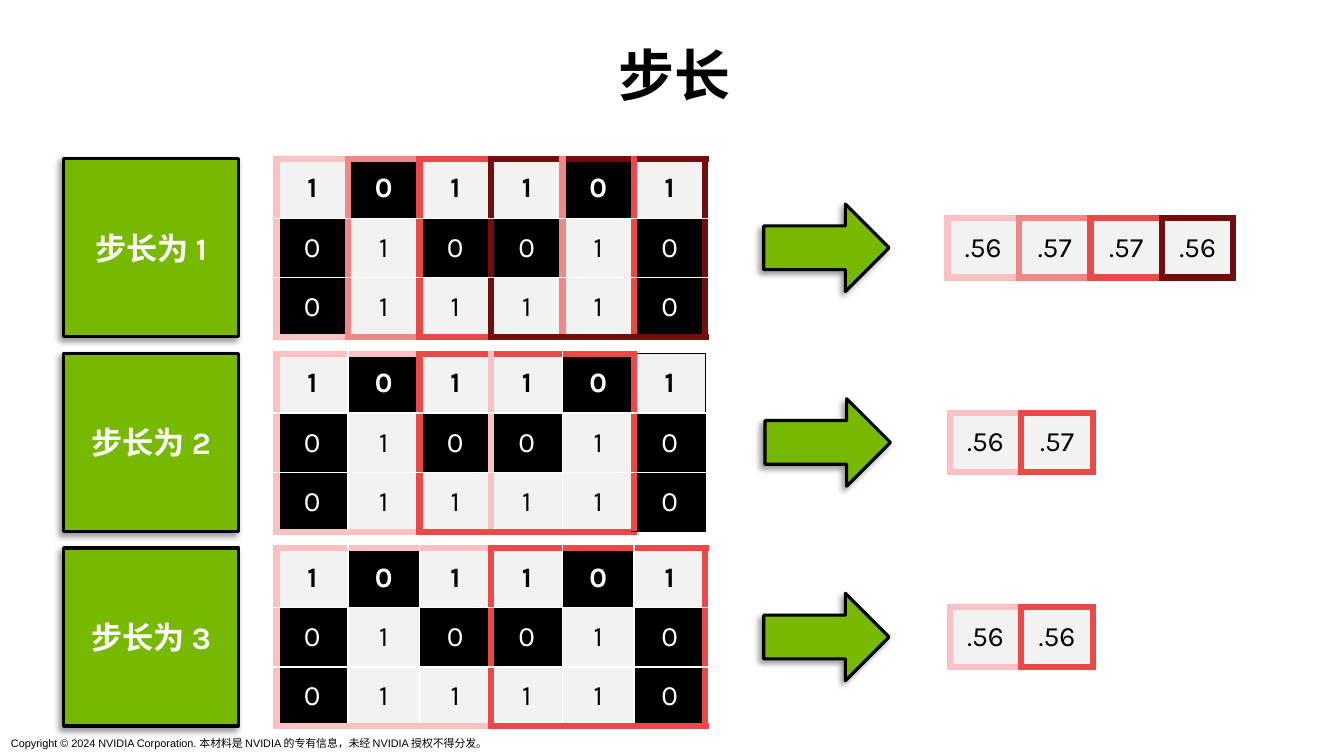
from lxml import etree
from pptx import Presentation
from pptx.dml.color import RGBColor
from pptx.enum.shapes import MSO_SHAPE
from pptx.enum.text import MSO_ANCHOR, PP_ALIGN
from pptx.oxml.ns import qn
from pptx.util import Pt

SQUARE, ARROW = MSO_SHAPE.RECTANGLE, MSO_SHAPE.RIGHT_ARROW
LEFT, CENTER = PP_ALIGN.LEFT, PP_ALIGN.CENTER
TOP, MIDDLE, BOTTOM = MSO_ANCHOR.TOP, MSO_ANCHOR.MIDDLE, MSO_ANCHOR.BOTTOM

COLORS = {
    "black": "000000",
    "white": "FFFFFF",
    "light": "F2F2F2",
    "green": "76B900",
}
# Border code: colour and width in points
BORDERS = {
    "a": ("F9C1C1", 4.5),
    "b": ("F18686", 4.5),
    "c": ("EB4848", 4.5),
    "d": ("760D0D", 4.5),
    "w": (COLORS["white"], 1),
    "k": (COLORS["black"], 1),
}
FONT = "Karla"
CELL_WIDTH, CELL_HEIGHT = 45.95, 38.2
FIRST_TOP, ROW_PITCH = 102.2, 125.1
INPUT_ROWS = ["101101", "010010", "011110"]

# Label, input verticals and edges, results, result verticals and edges,
# left of arrow, left of results
STRIDES = [
    ("步长为 1", "abcdbcd", "abcddd", [".56", ".57", ".57", ".56"],
     "abcdd", "abcd", 491, 609.1),
    ("步长为 2", "awcawck", "aaccck", [".56", ".57"], "acc", "ac", 491.8, 610.6),
    ("步长为 3", "awwcwwc", "aaaccc", [".56", ".56"], "acc", "ac", 491, 610.6),
]


def rgb(name):
    return RGBColor.from_string(COLORS[name])


def format_text(frame, size, color, bold=False, font=FONT, align=CENTER):
    para = frame.paragraphs[0]
    para.alignment = align
    for span in para.runs:
        span.font.name = font
        span.font.size = Pt(size)
        span.font.bold = bold
        span.font.color.rgb = rgb(color)


def add_text(page, text, left, top, width, height, anchor, **style):
    box = page.shapes.add_textbox(Pt(left), Pt(top), Pt(width), Pt(height))
    frame = box.text_frame
    frame.word_wrap = True
    frame.vertical_anchor = anchor
    frame.text = text
    format_text(frame, **style)
    return frame


def add_shadow(shape):
    """Give the shape a soft shadow towards the lower left."""
    shape.shadow.inherit = False
    effects = shape._element.spPr.find(qn("a:effectLst"))
    shadow = etree.SubElement(effects, qn("a:outerShdw"), blurRad=str(Pt(4)),
                              dist=str(Pt(3)), dir="8100000", algn="tr", rotWithShape="0")
    color = etree.SubElement(shadow, qn("a:srgbClr"), val=COLORS["black"])
    etree.SubElement(color, qn("a:alpha"), val="40000")


def add_green_shape(page, kind, left, top, width, height, line_width):
    shape = page.shapes.add_shape(kind, Pt(left), Pt(top), Pt(width), Pt(height))
    shape.fill.solid()
    shape.fill.fore_color.rgb = rgb("green")
    shape.line.color.rgb = rgb("black")
    shape.line.width = Pt(line_width)
    add_shadow(shape)
    return shape


def set_borders(cell, left, right, top, bottom):
    properties = cell._tc.get_or_add_tcPr()
    for side, code in zip("LRTB", (left, right, top, bottom)):
        color, width = BORDERS[code]
        line = etree.SubElement(properties, qn(f"a:ln{side}"), w=str(Pt(width)))
        fill = etree.SubElement(line, qn("a:solidFill"))
        etree.SubElement(fill, qn("a:srgbClr"), val=color)


def add_grid(page, rows, left, top, verticals, edges, bold_header=False):
    """Add a table; verticals and edges hold one border code per line or column."""
    row_count, column_count = len(rows), len(rows[0])
    table = page.shapes.add_table(
        row_count, column_count, Pt(left), Pt(top),
        Pt(CELL_WIDTH * column_count), Pt(CELL_HEIGHT * row_count)).table
    table.first_row = table.horz_banding = False
    for column in table.columns:
        column.width = Pt(CELL_WIDTH)
    for i, values in enumerate(rows):
        table.rows[i].height = Pt(CELL_HEIGHT)
        for j, value in enumerate(values):
            cell = table.cell(i, j)
            set_borders(cell, verticals[j], verticals[j + 1],
                        edges[j] if i == 0 else "w",
                        edges[j] if i == row_count - 1 else "w")
            dark = value == "0"
            cell.fill.solid()
            cell.fill.fore_color.rgb = rgb("black" if dark else "light")
            cell.vertical_anchor = MIDDLE
            cell.text_frame.text = value
            format_text(cell.text_frame, 18, "white" if dark else "black",
                        bold=bold_header and i == 0)


def add_stride(page, top, stride):
    """Add one row: label, input grid, arrow and results."""
    (label, verticals, edges, results, result_verticals, result_edges,
     arrow_left, results_left) = stride
    square = add_green_shape(page, SQUARE, 41, top - 0.2, 112.3, 114.5, 2.25)
    square.text_frame.text = label
    square.text_frame.vertical_anchor = MIDDLE
    format_text(square.text_frame, 20, "white", bold=True)
    add_grid(page, INPUT_ROWS, 177.8, top, verticals, edges, bold_header=True)
    add_green_shape(page, ARROW, arrow_left, top + 29, 80.6, 56.2, 2)
    add_grid(page, [results], results_left, top + 38, result_verticals, result_edges)


def main():
    deck = Presentation()
    deck.slide_width, deck.slide_height = Pt(864), Pt(486)
    page = deck.slides.add_slide(deck.slide_layouts[6])
    add_text(page, "Copyright © 2024 NVIDIA Corporation. 本材料是 NVIDIA 的专有信息，"
             "未经 NVIDIA 授权不得分发。", 0, 470.2, 335, 15.8, TOP,
             size=7, color="black", font="Arial", align=LEFT)
    title = add_text(page, "步长", 41, 26.6, 785.5, 46.8, BOTTOM,
                     size=36, color="black", bold=True)
    title.paragraphs[0].line_spacing = 0.9
    for i, stride in enumerate(STRIDES):
        add_stride(page, FIRST_TOP + i * ROW_PITCH, stride)
    deck.save("out.pptx")


if __name__ == "__main__":
    main()
